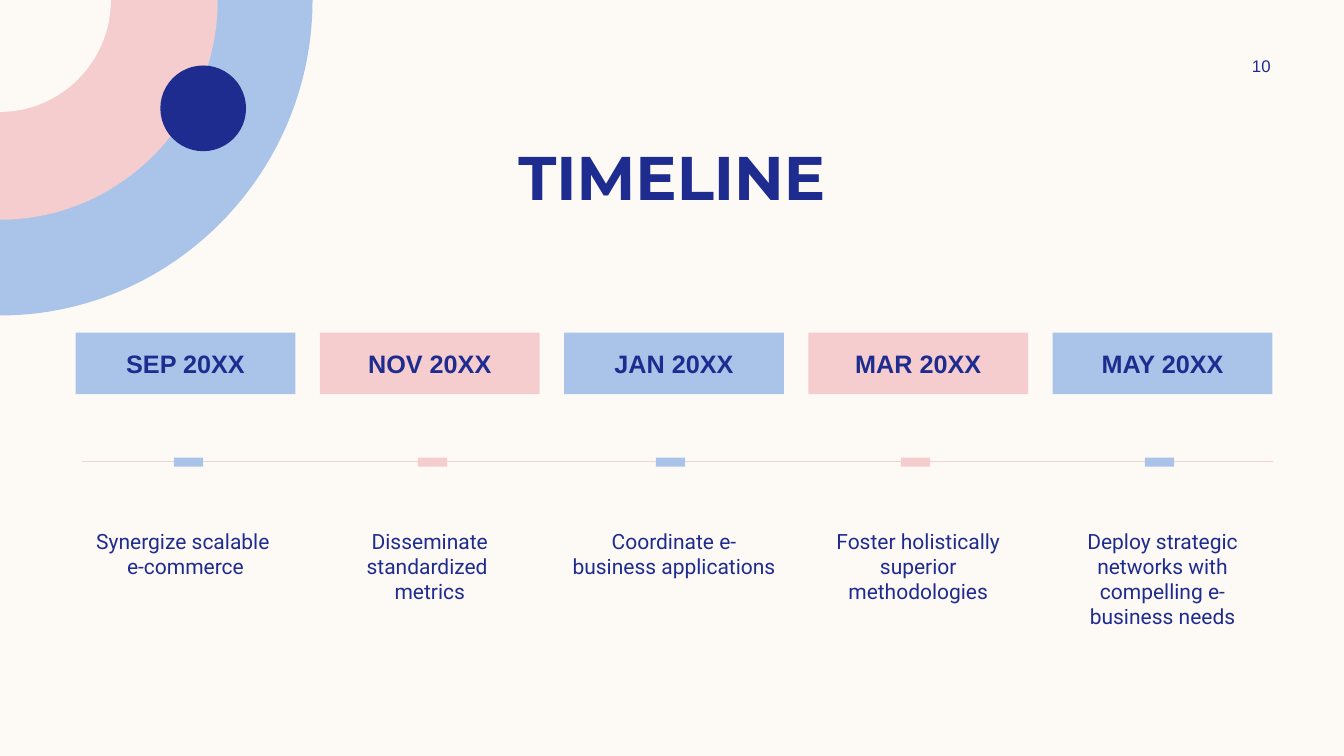
from lxml.etree import SubElement
from pptx import Presentation
from pptx.dml.color import RGBColor
from pptx.enum.shapes import MSO_CONNECTOR, MSO_SHAPE
from pptx.enum.text import MSO_ANCHOR, PP_ALIGN
from pptx.oxml.ns import qn
from pptx.util import Inches, Pt

COLOURS = {
    "cream": "FDFAF6",
    "blue": "AAC3E8",
    "pink": "F5CDCE",
    "navy": "1F2C8F",
    "line": "F2D1D1",
}
TITLE = "TIMELINE"
PAGE_NUMBER = "10"
# Date, description, centre of the marker on the line
MILESTONES = [
    ("SEP 20XX", "Synergize scalable \ne-commerce", 1.87),
    ("NOV 20XX", "Disseminate standardized \nmetrics", 4.29),
    ("JAN 20XX", "Coordinate e-\nbusiness applications", 6.65),
    ("MAR 20XX", "Foster holistically superior methodologies", 9.08),
    ("MAY 20XX", "Deploy strategic networks with compelling e-\nbusiness needs", 11.5),
]
# Width, height and colour of the corner quarter discs, from back to front
QUARTER_DISCS = [(3.1, 3.13, "blue"), (2.16, 2.18, "pink"), (1.1, 1.11, "cream")]
CURVE_PULL = 0.55  # share of the radius that makes a Bezier curve round

FIRST_LEFT, LAST_LEFT, COLUMN_WIDTH = 0.75, 10.44, 2.18
COLUMN_STEP = (LAST_LEFT - FIRST_LEFT) / (len(MILESTONES) - 1)
DATE_TOP, DATE_HEIGHT = 3.3, 0.61
DESCRIPTION_TOP, DESCRIPTION_HEIGHT = 5.19, 0.87
LINE_Y, LINE_LEFT, LINE_RIGHT = 4.58, 0.81, 12.63
MARKER_TOP, MARKER_WIDTH, MARKER_HEIGHT = 4.44, 0.09, 0.29


def colour(name):
    return RGBColor.from_string(COLOURS[name])


def paint(shape, fill):
    shape.shadow.inherit = False
    shape.fill.solid()
    shape.fill.fore_color.rgb = colour(fill)
    shape.line.fill.background()


def add_block(page, kind, left, top, width, height, fill):
    block = page.shapes.add_shape(
        kind, Inches(left), Inches(top), Inches(width), Inches(height))
    paint(block, fill)
    return block


def add_box(page, left, top, width, height):
    return page.shapes.add_textbox(
        Inches(left), Inches(top), Inches(width), Inches(height))


def write(shape, text, size, font="Arial", bold=False,
          anchor=MSO_ANCHOR.TOP, side=0.1, edge=0.05):
    """Fill a shape with centred navy text; side and edge are its insets."""
    frame = shape.text_frame
    frame.word_wrap = True
    frame.vertical_anchor = anchor
    frame.margin_left = frame.margin_right = Inches(side)
    frame.margin_top = frame.margin_bottom = Inches(edge)
    para = frame.paragraphs[0]
    para.alignment = PP_ALIGN.CENTER
    para.text = text
    for span in para.runs:
        span.font.name = font
        span.font.size = Pt(size)
        span.font.bold = bold
        span.font.color.rgb = colour("navy")


def add_quarter_disc(page, width, height, fill):
    """Draw a quarter disc at the slide corner, its arc as one Bezier curve."""
    corners = [(width, 0), (width, height * CURVE_PULL),
               (width * CURVE_PULL, height), (0, height)]
    builder = page.shapes.build_freeform(0, 0)
    builder.add_line_segments([(Inches(x), Inches(y)) for x, y in corners])
    disc = builder.convert_to_shape()
    edge, *arc = disc._element.findall(".//" + qn("a:lnTo"))
    curve = edge.makeelement(qn("a:cubicBezTo"))
    edge.addnext(curve)
    for segment in arc:
        curve.append(segment[0])
        segment.getparent().remove(segment)
    paint(disc, fill)


def add_timeline(page):
    line = page.shapes.add_connector(
        MSO_CONNECTOR.STRAIGHT, Inches(LINE_LEFT), Inches(LINE_Y),
        Inches(LINE_RIGHT), Inches(LINE_Y))
    line.line.color.rgb = colour("line")
    line.line.width = Pt(1)
    SubElement(line._element.spPr, qn("a:effectLst"))

    for index, (date, description, centre) in enumerate(MILESTONES):
        left = FIRST_LEFT + index * COLUMN_STEP
        fill = ("blue", "pink")[index % 2]
        label = add_block(page, MSO_SHAPE.RECTANGLE, left, DATE_TOP,
                          COLUMN_WIDTH, DATE_HEIGHT, fill)
        write(label, date, 18, bold=True, anchor=MSO_ANCHOR.MIDDLE, side=0, edge=0)
        marker = add_block(page, MSO_SHAPE.RECTANGLE, centre - MARKER_WIDTH / 2,
                           MARKER_TOP, MARKER_WIDTH, MARKER_HEIGHT, fill)
        marker.rotation = 270
        box = add_box(page, left, DESCRIPTION_TOP, COLUMN_WIDTH, DESCRIPTION_HEIGHT)
        write(box, description, 15, font="Roboto", side=0)


def main():
    deck = Presentation()
    deck.slide_width, deck.slide_height = Inches(13.33), Inches(7.5)
    page = deck.slides.add_slide(deck.slide_layouts[6])
    page.background.fill.solid()
    page.background.fill.fore_color.rgb = colour("cream")

    for width, height, fill in QUARTER_DISCS:
        add_quarter_disc(page, width, height, fill)
    add_block(page, MSO_SHAPE.OVAL, 1.59, 0.65, 0.85, 0.85, "navy")

    write(add_box(page, 0.83, 1.33, 11.67, 0.84), TITLE, 44,
          font="Montserrat", bold=True)
    write(add_box(page, 11.97, 0.5, 1.08, 0.3), PAGE_NUMBER, 12,
          anchor=MSO_ANCHOR.MIDDLE)
    add_timeline(page)
    deck.save("out.pptx")


if __name__ == "__main__":
    main()
